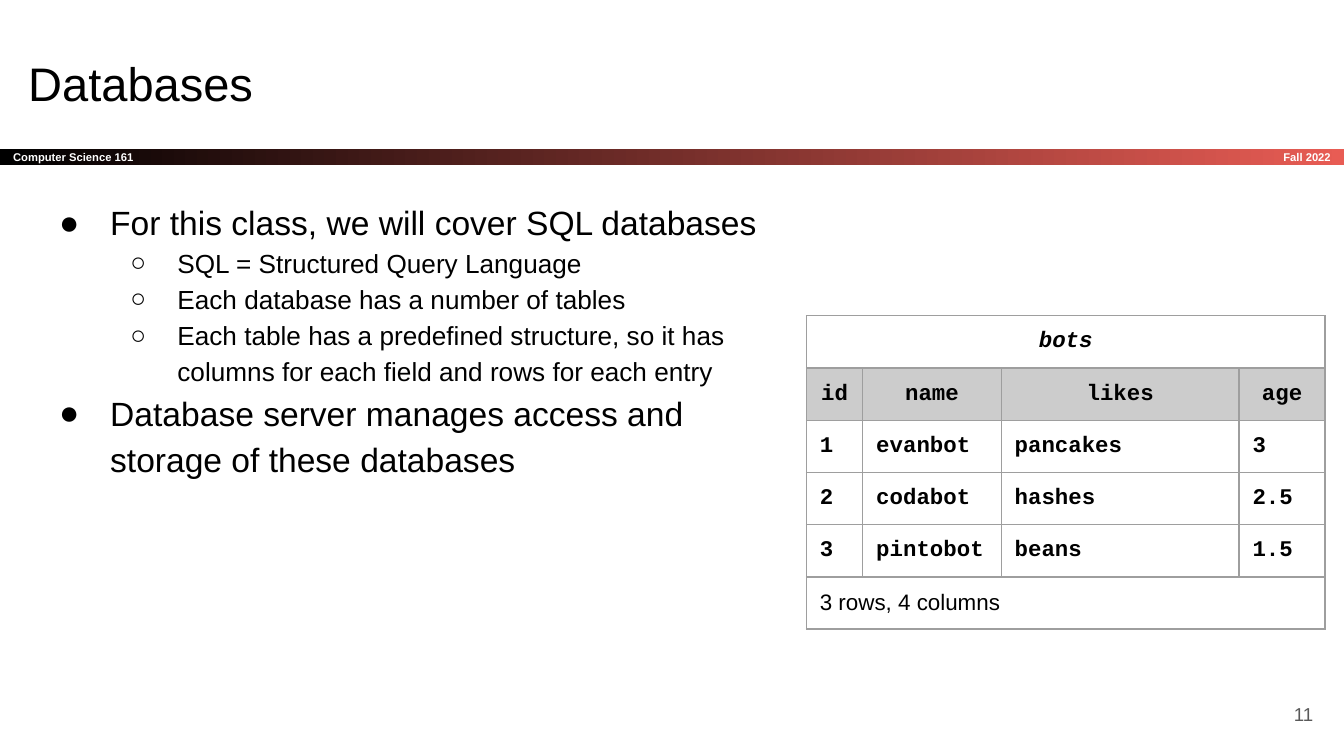
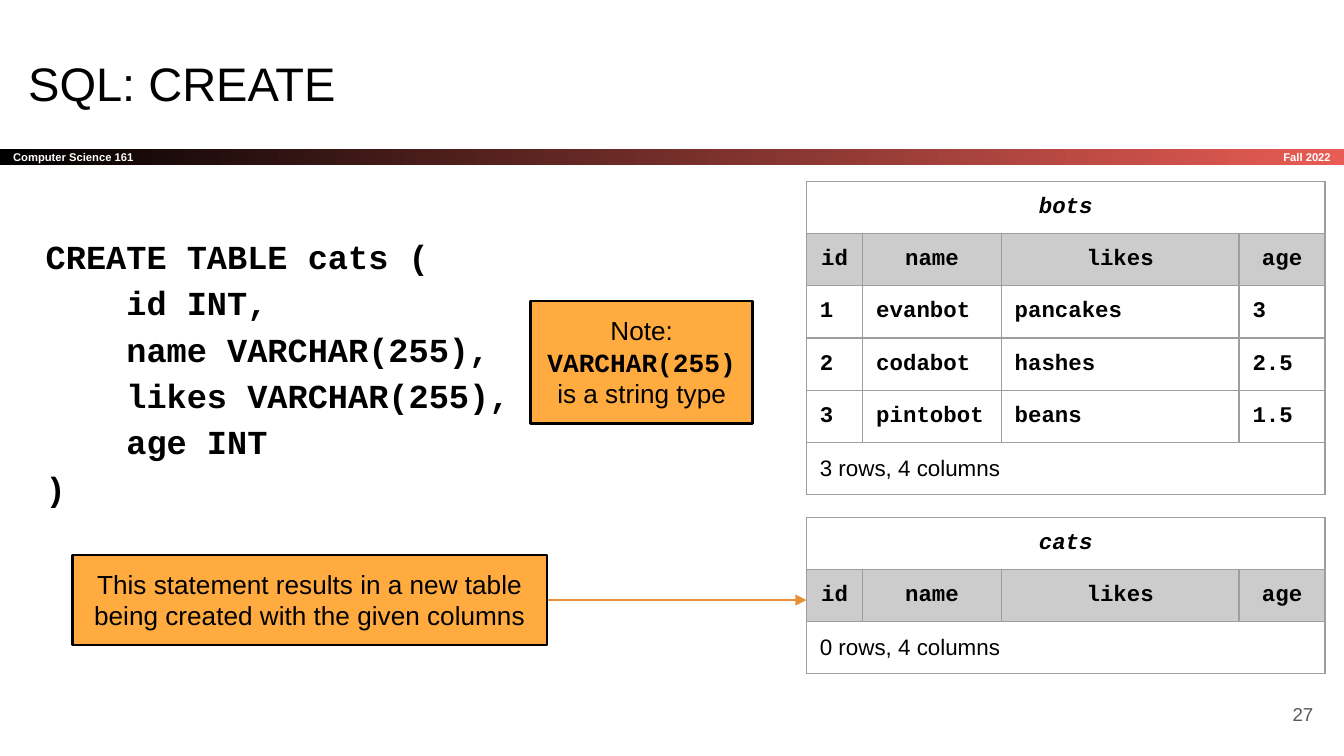
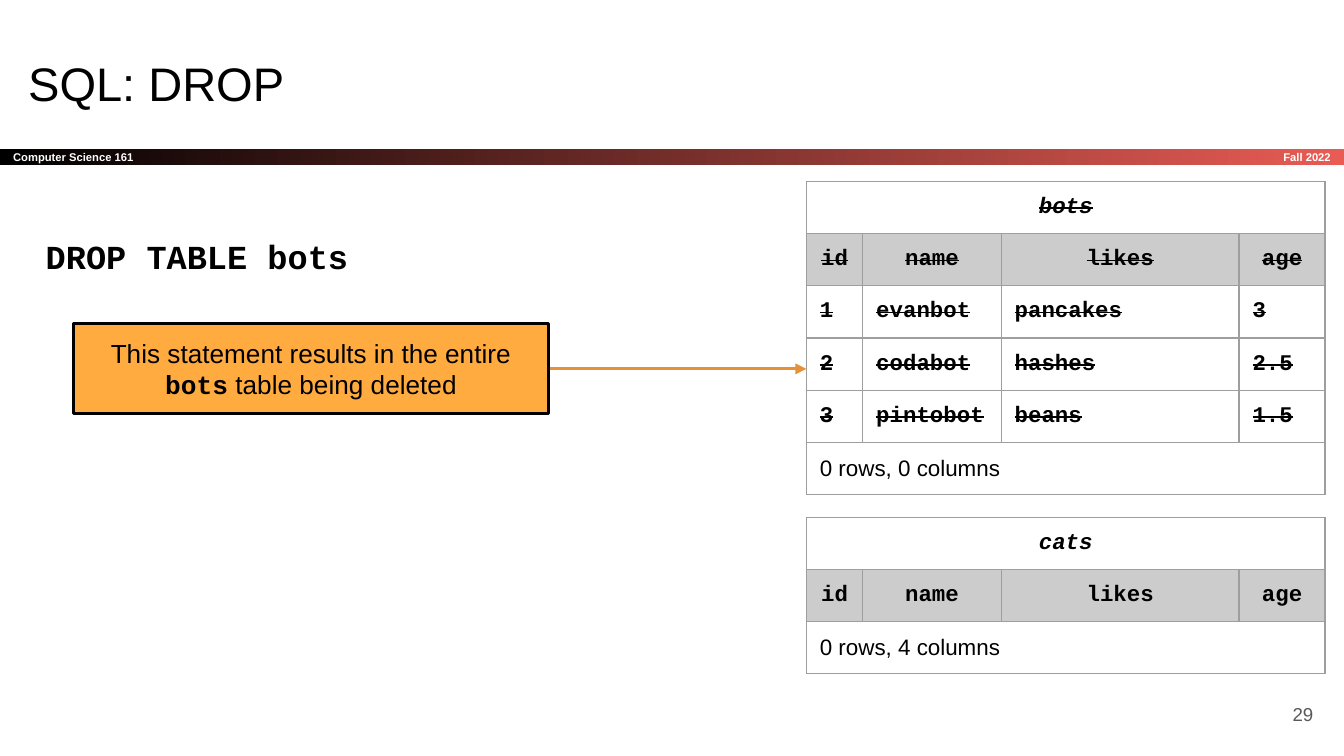
import lxml.etree
import pptx
import pptx.dml.color
import pptx.enum.shapes
import pptx.enum.text
import pptx.oxml.ns
import pptx.util

Inches = pptx.util.Inches
Pt = pptx.util.Pt
ALIGN = pptx.enum.text.PP_ALIGN
ANCHOR = pptx.enum.text.MSO_ANCHOR
RECTANGLE = pptx.enum.shapes.MSO_SHAPE.RECTANGLE

SANS, MONO = "Arial", "Courier New"
BLACK, WHITE, RED = "000000", "FFFFFF", "E85C54"
ORANGE, DARK_ORANGE = "FFAB40", "E69138"
HEADER_GRAY, BORDER_GRAY, NUMBER_GRAY = "CCCCCC", "9E9E9E", "595959"

BAND_TOP, BAND_HEIGHT = 1.11, 0.12
TABLE_LEFT = 6
MINIMUM_ROW_HEIGHT = 0.14  # rows grow to fit their text
COLUMN_WIDTHS = (0.42, 1.03, 1.77, 0.64)
UPPER_TABLE_TOP, LOWER_TABLE_TOP = 1.35, 3.85

# Bullet style by level: character, left margin, hanging indent, text size
BULLETS = (("●", 0.5, 0.38, 18), ("○", 1, 0.35, 14))

COLUMNS = ("id", "name", "likes", "age")
BOTS = (
    ("1", "evanbot", "pancakes", "3"),
    ("2", "codabot", "hashes", "2.5"),
    ("3", "pintobot", "beans", "1.5"),
)
CATS_TABLE = {"name": "cats", "top": LOWER_TABLE_TOP, "records": (),
              "summary": "0 rows, 4 columns"}

# Callout text is a list of (text, font) pairs
SLIDES = [
    {
        "title": "Databases",
        "number": "11",
        "bullets": [
            (0, "For this class, we will cover SQL databases"),
            (1, "SQL = Structured Query Language"),
            (1, "Each database has a number of tables"),
            (1, "Each table has a predefined structure, so it has columns "
                "for each field and rows for each entry"),
            (0, "Database server manages access and storage of these databases"),
        ],
        "tables": [{"name": "bots", "top": 2.35, "records": BOTS,
                    "summary": "3 rows, 4 columns"}],
    },
    {
        "title": "SQL: CREATE",
        "number": "27",
        "code": """CREATE TABLE cats (
    id INT,
    name VARCHAR(255),
    likes VARCHAR(255),
    age INT
)""",
        "code_height": 2.25,
        "tables": [{"name": "bots", "top": UPPER_TABLE_TOP, "records": BOTS,
                    "summary": "3 rows, 4 columns"}, CATS_TABLE],
        "callouts": [
            {"at": (0.54, 4.13, 3.53, 0.67), "arrow": True,
             "text": [("This statement results in a new table being created "
                       "with the given columns", SANS)]},
            {"at": (3.95, 2.24, 1.65, 0.91),
             "text": [("Note: ", SANS), ("VARCHAR(255)", MONO),
                      (" is a string type", SANS)]},
        ],
    },
    {
        "title": "SQL: DROP",
        "number": "29",
        "code": "DROP TABLE bots",
        "code_height": 0.5,
        "tables": [{"name": "bots", "top": UPPER_TABLE_TOP, "records": BOTS,
                    "summary": "0 rows, 0 columns", "dropped": True}, CATS_TABLE],
        "callouts": [
            {"at": (0.55, 2.41, 3.53, 0.67), "arrow": True,
             "text": [("This statement results in the entire ", SANS),
                      ("bots", MONO), (" table being deleted", SANS)]},
        ],
    },
]


def rgb(color):
    return pptx.dml.color.RGBColor.from_string(color)


def add_xml(parent, tag, **attributes):
    return lxml.etree.SubElement(parent, pptx.oxml.ns.qn(tag), attributes)


def style_font(font, size, color=BLACK, name=SANS, bold=False, italic=False):
    font.size, font.name = Pt(size), name
    font.bold, font.italic = bold, italic
    font.color.rgb = rgb(color)


def style_runs(para, size, **style):
    for span in para.runs:
        style_font(span.font, size, **style)


def place(shape, left, top, width, height):
    shape.left, shape.top = Inches(left), Inches(top)
    shape.width, shape.height = Inches(width), Inches(height)


def prepare_frame(frame, anchor, vertical_inset=0.1):
    frame.word_wrap = True
    frame.auto_size = pptx.enum.text.MSO_AUTO_SIZE.NONE
    frame.vertical_anchor = anchor
    frame.margin_left = frame.margin_right = Inches(0.1)
    frame.margin_top = frame.margin_bottom = Inches(vertical_inset)


def write_line(shape, text, align, size, **style):
    """Fill a shape with one vertically centred line."""
    prepare_frame(shape.text_frame, ANCHOR.MIDDLE, 0)
    para = shape.text_frame.paragraphs[0]
    para.text, para.alignment = text, align
    style_runs(para, size, **style)


def add_band(page, layout):
    """Draw the course band and move it to the layout that all slides share."""
    band = page.shapes.add_shape(RECTANGLE, 0, 0, 0, 0)
    place(band, 0, BAND_TOP, 10, BAND_HEIGHT)
    band.shadow.inherit = False
    band.line.fill.background()
    band.fill.gradient()
    band.fill.gradient_angle = 0
    for stop, position, color in zip(band.fill.gradient_stops, (0, 1), (BLACK, RED)):
        stop.position, stop.color.rgb = position, rgb(color)
    term = page.shapes.add_textbox(0, 0, 0, 0)
    place(term, 8.34, BAND_TOP, 1.66, BAND_HEIGHT)
    write_line(band, "Computer Science 161", ALIGN.LEFT, 6, color=WHITE, bold=True)
    write_line(term, "Fall 2022", ALIGN.RIGHT, 6, color=WHITE, bold=True)
    for shape_id, shape in enumerate((band, term), start=20):
        shape._element.nvSpPr.cNvPr.set("id", str(shape_id))
        layout.shapes._spTree.append(shape._element)


def add_title(page, text):
    title = page.shapes.title
    place(title, 0.11, 0.3, 9.32, 0.63)
    write_line(title, text, ALIGN.LEFT, 25.2)


def add_number(page, number):
    box = page.shapes.add_textbox(0, 0, 0, 0)
    place(box, 9.27, 5.1, 0.6, 0.43)
    write_line(box, number, ALIGN.RIGHT, 10, color=NUMBER_GRAY)


def set_bullet(para, character, margin, hanging):
    properties = para._p.get_or_add_pPr()
    properties.set("marL", str(Inches(margin)))
    properties.set("indent", str(-Inches(hanging)))
    if character:
        add_xml(add_xml(properties, "a:buClr"), "a:srgbClr", val=BLACK)
        add_xml(properties, "a:buFont", typeface=SANS)
        add_xml(properties, "a:buChar", char=character)
    else:
        add_xml(properties, "a:buNone")


def fill_bullets(body, bullets):
    place(body, 0.22, 1.36, 5.62, 4.12)
    frame = body.text_frame
    prepare_frame(frame, ANCHOR.TOP)
    frame.text = "\n".join(text for level, text in bullets)
    for para, (level, text) in zip(frame.paragraphs, bullets):
        character, margin, hanging, size = BULLETS[level]
        para.level = level
        para.line_spacing, para.space_before = 1.15, Pt(0)
        set_bullet(para, character, margin, hanging)
        style_runs(para, size)


def fill_code(body, code, height):
    place(body, 0.24, 1.61, 4.59, height)
    prepare_frame(body.text_frame, ANCHOR.TOP)
    para = body.text_frame.paragraphs[0]
    para.text = code
    para.line_spacing, para.space_before, para.space_after = 1.15, Pt(0), Pt(12)
    set_bullet(para, None, 0, 0)
    style_runs(para, 18, name=MONO, bold=True)


def set_borders(cell):
    properties = cell._tc.get_or_add_tcPr()
    for index, side in enumerate(("a:lnL", "a:lnR", "a:lnT", "a:lnB")):
        border = add_xml(properties, side, w=str(Pt(0.75)))
        add_xml(add_xml(border, "a:solidFill"), "a:srgbClr", val=BORDER_GRAY)
        properties.insert(index, border)


def add_database_table(page, name, top, records, summary, dropped=False):
    """Add a table of name, column heads, records and summary; strike it if dropped."""
    rows = [(name,), COLUMNS, *records, (summary,)]
    last = len(rows) - 1
    table = page.shapes.add_table(
        len(rows), len(COLUMNS), Inches(TABLE_LEFT), Inches(top),
        Inches(sum(COLUMN_WIDTHS)), Inches(MINIMUM_ROW_HEIGHT * len(rows))).table
    table.first_row = table.horz_banding = False
    for column, width in zip(table.columns, COLUMN_WIDTHS):
        column.width = Inches(width)
    for cell in table.iter_cells():
        cell.margin_left = cell.margin_right = Inches(0.1)
        cell.margin_top = cell.margin_bottom = Inches(0.1)
        cell.text_frame.paragraphs[0].font.size = Pt(12)
        cell.fill.background()
        set_borders(cell)
    for index, values in enumerate(rows):
        if len(values) == 1:
            table.cell(index, 0).merge(table.cell(index, len(COLUMNS) - 1))
        for column, value in enumerate(values):
            cell = table.cell(index, column)
            if index == 1:
                cell.fill.solid()
                cell.fill.fore_color.rgb = rgb(HEADER_GRAY)
            para = cell.text_frame.paragraphs[0]
            para.text = value
            para.alignment = ALIGN.CENTER if index < 2 else ALIGN.LEFT
            style_runs(para, 12, name=SANS if index == last else MONO,
                       bold=index != last, italic=index == 0)
            if dropped and index != last:
                para.runs[0]._r.get_or_add_rPr().set("strike", "sngStrike")


def add_arrow(page, start, height):
    arrow = page.shapes.add_connector(
        pptx.enum.shapes.MSO_CONNECTOR.STRAIGHT, Inches(start), Inches(height),
        Inches(TABLE_LEFT), Inches(height))
    arrow.line.color.rgb = rgb(DARK_ORANGE)
    arrow.line.width = Pt(1.5)
    add_xml(arrow.line._get_or_add_ln(), "a:tailEnd", type="triangle")
    add_xml(arrow._element.spPr, "a:effectLst")


def add_callout(page, at, text, arrow=False):
    left, top, width, height = at
    if arrow:
        add_arrow(page, left + width, top + height / 2)
    box = page.shapes.add_shape(RECTANGLE, 0, 0, 0, 0)
    place(box, *at)
    box.shadow.inherit = False
    box.fill.solid()
    box.fill.fore_color.rgb = rgb(ORANGE)
    box.line.color.rgb = rgb(BLACK)
    box.line.width = Pt(1.5)
    prepare_frame(box.text_frame, ANCHOR.TOP)
    para = box.text_frame.paragraphs[0]
    para.alignment = ALIGN.CENTER
    for words, font_name in text:
        span = para.add_run()
        span.text = words
        style_font(span.font, 14, name=font_name, bold=font_name == MONO)


def main():
    deck = pptx.Presentation()
    deck.slide_width = Inches(10)
    deck.slide_height = deck.slide_width * 9 // 16
    layout = deck.slide_layouts[1]
    for index, content in enumerate(SLIDES):
        page = deck.slides.add_slide(layout)
        if index == 0:
            add_band(page, layout)
        add_title(page, content["title"])
        add_number(page, content["number"])
        body = page.placeholders[1]
        if "bullets" in content:
            fill_bullets(body, content["bullets"])
        else:
            fill_code(body, content["code"], content["code_height"])
        for table in content["tables"]:
            add_database_table(page, **table)
        for callout in content.get("callouts", []):
            add_callout(page, **callout)
    deck.save("out.pptx")


if __name__ == "__main__":
    main()
